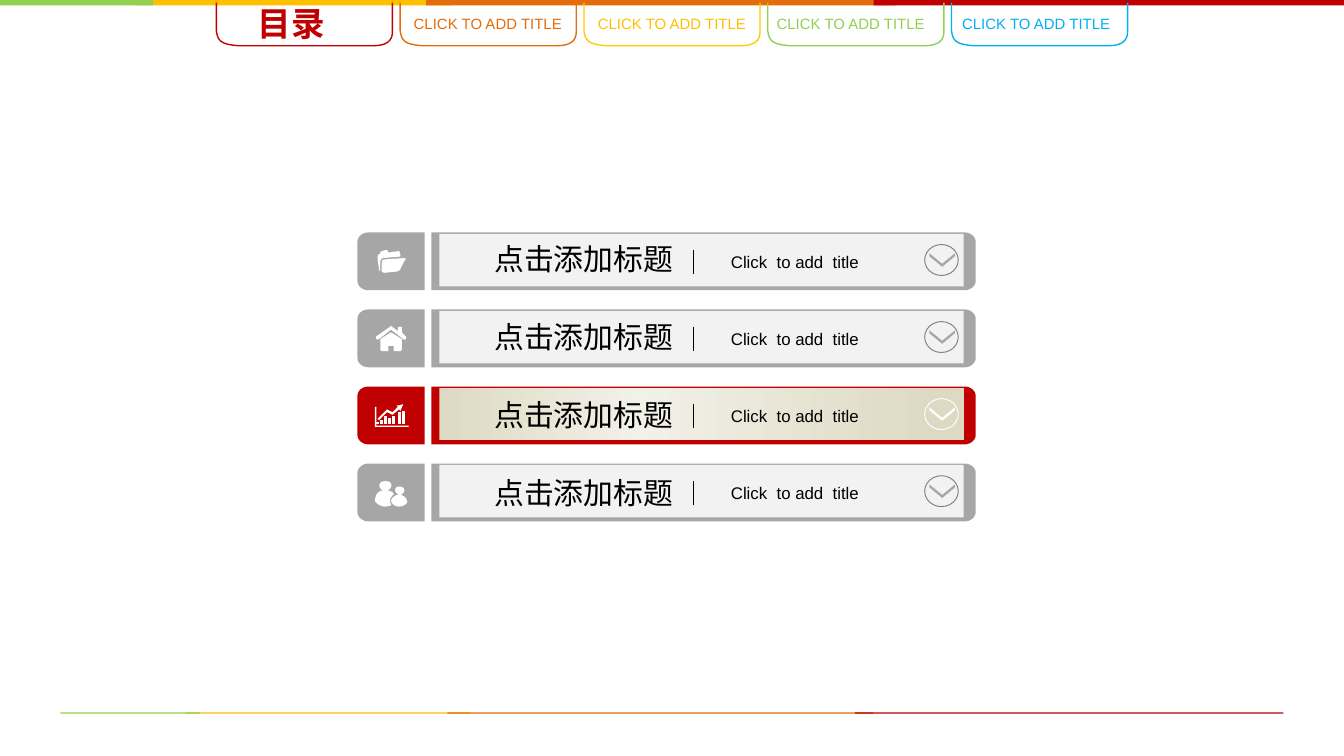
"""Build a contents slide with coloured tabs and four icon bars."""
import copy

import pptx
import pptx.dml.color
import pptx.enum.shapes
import pptx.enum.text
import pptx.oxml.ns
import pptx.util

Inches = pptx.util.Inches
Pt = pptx.util.Pt
RGBColor = pptx.dml.color.RGBColor
SHAPE = pptx.enum.shapes.MSO_SHAPE
qn = pptx.oxml.ns.qn

GREEN = RGBColor(0x92, 0xD0, 0x50)
YELLOW = RGBColor(0xFF, 0xC0, 0x00)
TAB_YELLOW = RGBColor(0xFF, 0xCC, 0x00)
ORANGE = RGBColor(0xE4, 0x6C, 0x0A)
RED = RGBColor(0xC0, 0x00, 0x00)
BLUE = RGBColor(0x00, 0xB0, 0xF0)
GRAY = RGBColor(0xA6, 0xA6, 0xA6)
DARK_GRAY = RGBColor(0x80, 0x80, 0x80)
PALE_GRAY = RGBColor(0xF2, 0xF2, 0xF2)
TAN = RGBColor(0xDD, 0xD9, 0xC3)
PALE_TAN = RGBColor(0xF2, 0xF1, 0xE8)
WHITE = RGBColor(0xFF, 0xFF, 0xFF)
BLACK = RGBColor(0x00, 0x00, 0x00)

LATIN = "Arial"
CHINESE = "Noto Sans CJK SC"
TAB_FORMAT = {"name": LATIN, "size": Pt(8)}
HEADING_FORMAT = {"name": CHINESE, "size": Pt(18), "bold": True}
TITLE_FORMAT = {"name": CHINESE, "size": Pt(16)}
SUBTITLE_FORMAT = {"name": LATIN, "size": Pt(9)}
JUSTIFY = pptx.enum.text.PP_ALIGN.JUSTIFY
LEFT = pptx.enum.text.PP_ALIGN.LEFT

presentation = pptx.Presentation()
presentation.slide_width = Inches(10)
presentation.slide_height = Inches(10) * 9 // 16
slide = presentation.slides.add_slide(presentation.slide_layouts[6])


def add_figure(geometry, fill=None, line=None, width=0.75, box=None, top=0):
    """Add a preset in a box, or an outline of points and cubic curves."""
    if box:
        shape = slide.shapes.add_shape(geometry, *[Inches(length) for length in box])
    else:
        points = []
        for step in geometry:
            if len(step) == 2:
                points.append(step)
                continue
            curve = [points[-1], step[:2], step[2:4], step[4:]]
            for t in [part / 8 for part in range(1, 9)]:
                weights = (1 - t) ** 3, 3 * t * (1 - t) ** 2, 3 * t * t * (1 - t), t ** 3
                points.append([sum(w * p[axis] for w, p in zip(weights, curve)) for axis in (0, 1)])
        vertices = [(Inches(x), Inches(y + top)) for x, y in points]
        builder = slide.shapes.build_freeform(*vertices[0])
        builder.add_line_segments(vertices[1:], close=fill is not None)
        shape = builder.convert_to_shape()
    shape.shadow.inherit = False
    for format_part, color in ((shape.fill, fill), (shape.line.fill, line)):
        if color is None:
            format_part.background()
        else:
            format_part.solid()
            format_part.fore_color.rgb = color
    if line is not None:
        shape.line.width = Pt(width)
    return shape


def add_text(text, box, color, font_format, alignment=JUSTIFY, wrap=False):
    """Add a one-line text box."""
    shape = slide.shapes.add_textbox(*[Inches(length) for length in box])
    frame = shape.text_frame
    frame.word_wrap = wrap
    frame.auto_size = pptx.enum.text.MSO_AUTO_SIZE.SHAPE_TO_FIT_TEXT
    paragraph = frame.paragraphs[0]
    paragraph.alignment = alignment
    run = paragraph.add_run()
    run.text = text
    for name, value in font_format.items():
        setattr(run.font, name, value)
    run.font.color.rgb = color
    east_asian = run._r.get_or_add_rPr().makeelement(qn("a:ea"), {"typeface": font_format["name"]})
    run._r.rPr.find(qn("a:latin")).addnext(east_asian)


stripes = [
    (YELLOW, 1.02, 2.34, 1.38, 2.12),
    (ORANGE, 3.17, 3.49, 3.33, 3.17),
    (RED, 6.5, 3.5, 6.36, 3.19),
    (GREEN, 0, 1.14, 0.45, 1.04),
]
for color, header_left, header_width, footer_left, footer_width in stripes:
    add_figure(SHAPE.RECTANGLE, color, box=(header_left, 0, header_width, 0.04))
    add_figure(SHAPE.RECTANGLE, color, box=(footer_left, 5.3, footer_width, 0.01))

tabs = [
    (RED, RED, None),
    (ORANGE, ORANGE, 2.98),
    (TAB_YELLOW, YELLOW, 4.35),
    (GREEN, GREEN, 5.68),
    (BLUE, BLUE, 7.06),
]
TAB_PITCH = (7.08 - 1.61) / 4
for index, (line_color, text_color, text_left) in enumerate(tabs):
    x = 1.61 + index * TAB_PITCH
    add_figure([
        (x + 1.31, 0.02), (x + 1.31, 0.24),
        (x + 1.31, 0.3, x + 1.27, 0.34, x + 1.17, 0.34), (x + 0.16, 0.34),
        (x + 0.03, 0.33, x + 0.01, 0.3, x, 0.23), (x, 0.02),
    ], line=line_color)
    if text_left:
        add_text("CLICK TO ADD TITLE", (text_left, 0.06, 1.33, 0.24), text_color, TAB_FORMAT)
    else:
        add_text("目录", (1.82, -0.03, 0.89, 0.4), text_color, HEADING_FORMAT, wrap=True)

folder = [
    [(2.98, 0.18), (2.98, 0.15, 2.97, 0.13, 2.96, 0.14), (2.89, 0.15),
     (2.89, 0.14, 2.88, 0.13, 2.87, 0.13), (2.84, 0.14),
     (2.83, 0.14, 2.83, 0.15, 2.83, 0.16), (2.81, 0.16, 2.81, 0.18, 2.81, 0.2),
     (2.82, 0.27), (2.82, 0.28, 2.82, 0.28, 2.83, 0.29), (2.83, 0.23),
     (2.83, 0.2, 2.84, 0.19, 2.86, 0.19)],
    [(3.01, 0.19), (2.86, 0.2), (2.85, 0.2, 2.84, 0.21, 2.84, 0.23), (2.84, 0.29),
     (2.84, 0.29, 2.85, 0.3, 2.86, 0.3), (2.96, 0.29),
     (2.97, 0.28, 2.98, 0.28, 2.98, 0.27), (3.01, 0.21), (3.02, 0.2, 3.02, 0.19, 3.01, 0.19)],
]
house = [
    [(2.83, 0.22), (2.83, 0.3), (2.84, 0.31), (2.89, 0.31), (2.89, 0.27), (2.93, 0.27),
     (2.93, 0.31), (2.98, 0.31), (2.99, 0.3), (2.99, 0.22), (2.91, 0.17)],
    [(3.02, 0.2), (2.99, 0.17), (2.99, 0.13), (2.96, 0.13), (2.96, 0.16), (2.92, 0.13),
     (2.92, 0.12, 2.91, 0.12, 2.9, 0.13), (2.8, 0.2), (2.79, 0.21, 2.8, 0.23, 2.82, 0.22),
     (2.91, 0.15), (3, 0.22), (3.01, 0.23, 3.03, 0.22, 3.02, 0.2)],
]
graph = [
    [(3.04, 0.29), (2.8, 0.29), (2.8, 0.15), (2.79, 0.15), (2.79, 0.3), (3.04, 0.3)],
    [(2.97, 0.14), (2.95, 0.14), (2.96, 0.15), (2.92, 0.19), (2.88, 0.17), (2.81, 0.24),
     (2.82, 0.25), (2.88, 0.19), (2.92, 0.21), (2.97, 0.17), (2.98, 0.18), (3, 0.13)],
]
for left, bar_top in [(2.8, 0.26), (2.83, 0.25), (2.86, 0.22), (2.89, 0.23),
                      (2.92, 0.22), (2.96, 0.19), (2.99, 0.18)]:
    graph.append([(left, bar_top), (left + 0.02, bar_top), (left + 0.02, 0.28), (left, 0.28)])
people = [
    [(2.91, 0.3), (2.89, 0.28, 2.91, 0.24, 2.93, 0.23), (2.93, 0.22, 2.91, 0.2, 2.88, 0.2),
     (2.92, 0.19, 2.93, 0.13, 2.87, 0.13), (2.81, 0.13, 2.81, 0.18, 2.85, 0.2),
     (2.81, 0.2, 2.79, 0.24, 2.79, 0.28), (2.82, 0.32, 2.87, 0.33, 2.91, 0.31)],
    [(2.98, 0.23), (3.02, 0.22, 3.02, 0.17, 2.97, 0.17), (2.93, 0.17, 2.93, 0.22, 2.97, 0.23),
     (2.95, 0.23, 2.91, 0.25, 2.91, 0.28), (2.92, 0.32, 2.99, 0.34, 3.03, 0.29),
     (3.03, 0.26, 3.01, 0.24, 2.98, 0.23)],
]

icon_plate = [
    (2.74, 0), (3.16, 0), (3.16, 0.43), (2.74, 0.43), (2.7, 0.43, 2.66, 0.4, 2.66, 0.36),
    (2.66, 0.07), (2.66, 0.03, 2.7, 0, 2.74, 0),
]
bar_plate = [
    (3.21, 0), (7.18, 0), (7.22, 0, 7.26, 0.03, 7.26, 0.07), (7.26, 0.36),
    (7.26, 0.4, 7.22, 0.43, 7.18, 0.43), (3.21, 0.43),
]
ROW_PITCH = (3.45 - 1.73) / 3
for index, icon in enumerate([folder, house, graph, people]):
    top = 1.73 + index * ROW_PITCH
    selected = icon is graph
    plate_color = RED if selected else GRAY
    add_figure(icon_plate, plate_color, top=top)
    for outline in icon:
        add_figure(outline, WHITE, top=top)
    add_figure(bar_plate, plate_color, top=top)
    panel = add_figure(SHAPE.RECTANGLE, PALE_GRAY, box=(3.27, top + 0.01, 3.9, 0.39))
    if selected:
        panel.fill.gradient()
        panel.fill.gradient_angle = 0
        stop_list = panel._element.spPr.find(qn("a:gradFill")).find(qn("a:gsLst"))
        stop_list.append(copy.deepcopy(stop_list[0]))
        stops = [(TAN, 0), (PALE_TAN, 0.38), (TAN, 0.95)]
        for stop, (color, position) in zip(panel.fill.gradient_stops, stops):
            stop.color.rgb = color
            stop.position = position
    add_text("点击添加标题", (3.58, 1.74 + index * 0.58, 1.55, 0.37), BLACK, TITLE_FORMAT, LEFT)
    add_text("Click  to add  title", (5.34, top + 0.09, 1.16, 0.25), BLACK, SUBTITLE_FORMAT)
    add_figure(SHAPE.OVAL, line=WHITE if selected else DARK_GRAY, width=0.5,
               box=(6.88, top + 0.09, 0.25, 0.23))
    chevron = add_figure(SHAPE.CHEVRON, WHITE if selected else GRAY, box=(6.96, top + 0.11, 0.1, 0.19))
    chevron.rotation = 90
    chevron.adjustments[0] = 0.78
    divider = slide.shapes.add_connector(
        pptx.enum.shapes.MSO_CONNECTOR.STRAIGHT,
        Inches(5.16), Inches(top + 0.13), Inches(5.16), Inches(top + 0.31))
    divider.line.color.rgb = BLACK
    divider.line.width = Pt(0.5)
    properties = divider._element.spPr
    properties.append(properties.makeelement(qn("a:effectLst"), {}))

presentation.save("out.pptx")
